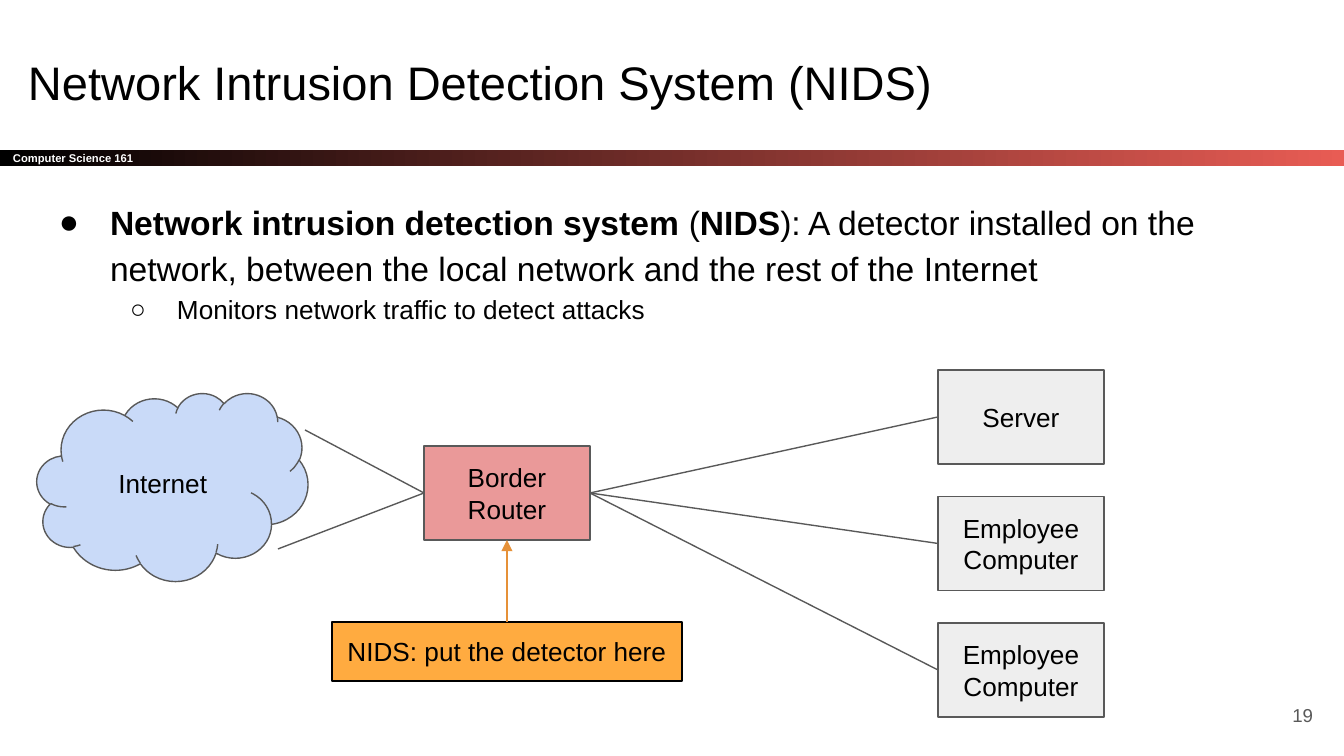
"""Build the Network Intrusion Detection System slide."""
from lxml.etree import SubElement
from pptx import Presentation
from pptx.dml.color import RGBColor
from pptx.enum.shapes import MSO_CONNECTOR, MSO_SHAPE
from pptx.enum.text import MSO_ANCHOR, PP_ALIGN
from pptx.oxml.ns import qn
from pptx.util import Emu, Pt

SCALE = 914400 / 134.4
INSET = 13
FONT = "Arial"
COLORS = {
    "black": "000000", "white": "FFFFFF", "red": "E85C54", "gray": "595959",
    "host": "EEEEEE", "router": "EA9999", "detector": "FFAB40",
    "arrow": "E69138", "cloud": "C9DAF8",
}

TITLE = "Network Intrusion Detection System (NIDS)"
COURSE = "Computer Science 161"
PAGE_NUMBER = "19"
BULLETS = [
    {"char": "●", "level": 0, "left": 67, "hang": 51, "size": 18, "runs": [
        ("Network intrusion detection system", True), (" (", False), ("NIDS", True),
        ("): A detector installed on the network, between the local network "
         "and the rest of the Internet", False)]},
    {"char": "○", "level": 1, "left": 134, "hang": 47, "size": 14, "runs": [
        ("Monitors network traffic to detect attacks", False)]},
]
HOSTS = ["Server", "Employee Computer", "Employee Computer"]
HOST_LEFT, HOST_TOP, HOST_STEP = 938, 370, 126.5
NODE_WIDTH, NODE_HEIGHT = 166, 94
ROUTER_LEFT, ROUTER_TOP = 424, 446
DETECTOR = (332, 622, 350, 59)
CLOUD = (37, 393, 271, 188)
CLOUD_EXITS = [(305, 430), (278, 549)]


def px(value):
    return Emu(round(value * SCALE))


def color(name):
    return RGBColor.from_string(COLORS[name])


def add_run(para, text, size, tint="black", bold=False):
    span = para.add_run()
    span.text = text
    span.font.name = FONT
    span.font.size = Pt(size)
    span.font.bold = bold
    span.font.color.rgb = color(tint)


def set_frame(shape, anchor=MSO_ANCHOR.TOP):
    frame = shape.text_frame
    frame.word_wrap = True
    frame.vertical_anchor = anchor
    frame.margin_left = frame.margin_right = px(INSET)
    frame.margin_top = frame.margin_bottom = px(INSET)
    return frame


def add_text_box(page, place, anchor=MSO_ANCHOR.TOP):
    return set_frame(page.shapes.add_textbox(*map(px, place)), anchor)


def add_node(page, kind, place, label, fill, line="gray", width=0.75, anchor=MSO_ANCHOR.MIDDLE):
    node = page.shapes.add_shape(kind, *map(px, place))
    node.shadow.inherit = False
    node.fill.solid()
    node.fill.fore_color.rgb = color(fill)
    node.line.color.rgb = color(line)
    node.line.width = Pt(width)
    para = set_frame(node, anchor).paragraphs[0]
    para.alignment = PP_ALIGN.CENTER
    add_run(para, label, 14)


def add_line(page, start, end, tint="gray", width=0.75, arrow=False):
    line = page.shapes.add_connector(MSO_CONNECTOR.STRAIGHT, *map(px, start + end))
    line.line.color.rgb = color(tint)
    line.line.width = Pt(width)
    if arrow:
        SubElement(line.line._get_or_add_ln(), qn("a:tailEnd"), type="triangle")
    SubElement(line._element.spPr, qn("a:effectLst"))


def add_bar(page):
    bar = page.shapes.add_shape(MSO_SHAPE.RECTANGLE, *map(px, (0, 150, 1344, 16)))
    bar.shadow.inherit = False
    bar.line.fill.background()
    bar.fill.gradient()
    bar.fill.gradient_angle = 0
    for stop, name in zip(bar.fill.gradient_stops, ("black", "red")):
        stop.color.rgb = color(name)
    para = set_frame(bar, MSO_ANCHOR.MIDDLE).paragraphs[0]
    para.alignment = PP_ALIGN.LEFT
    add_run(para, COURSE, 6, "white", True)


def add_bullets(page):
    frame = add_text_box(page, (30, 183, 1252, 554))
    for index, bullet in enumerate(BULLETS):
        para = frame.add_paragraph() if index else frame.paragraphs[0]
        para.level = bullet["level"]
        properties = para._p.get_or_add_pPr()
        properties.set("marL", str(px(bullet["left"])))
        properties.set("indent", str(-px(bullet["hang"])))
        tint = SubElement(properties, qn("a:buClr"))
        SubElement(tint, qn("a:srgbClr"), val=COLORS["black"])
        SubElement(properties, qn("a:buFont"), typeface=FONT)
        SubElement(properties, qn("a:buChar"), char=bullet["char"])
        para.line_spacing = 1.15
        for text, bold in bullet["runs"]:
            add_run(para, text, bullet["size"], bold=bold)


def add_network(page):
    middle = ROUTER_TOP + NODE_HEIGHT / 2
    router_right = ROUTER_LEFT + NODE_WIDTH
    for index, label in enumerate(HOSTS):
        top = HOST_TOP + index * HOST_STEP
        add_node(page, MSO_SHAPE.RECTANGLE, (HOST_LEFT, top, NODE_WIDTH, NODE_HEIGHT), label, "host")
        add_line(page, (HOST_LEFT, top + NODE_HEIGHT / 2), (router_right, middle))
    add_node(page, MSO_SHAPE.RECTANGLE, (ROUTER_LEFT, ROUTER_TOP, NODE_WIDTH, NODE_HEIGHT),
             "Border Router", "router")
    add_node(page, MSO_SHAPE.RECTANGLE, DETECTOR, "NIDS: put the detector here",
             "detector", "black", 1.5, MSO_ANCHOR.TOP)
    center = ROUTER_LEFT + NODE_WIDTH / 2
    add_line(page, (center, DETECTOR[1]), (center, ROUTER_TOP + NODE_HEIGHT), "arrow", 1.5, True)
    for cloud_exit in CLOUD_EXITS:
        add_line(page, cloud_exit, (ROUTER_LEFT, middle))
    add_node(page, MSO_SHAPE.CLOUD, CLOUD, "Internet", "cloud")


def main():
    deck = Presentation()
    deck.slide_width, deck.slide_height = px(1344), px(756)
    page = deck.slides.add_slide(deck.slide_layouts[6])
    add_bar(page)
    add_bullets(page)
    title = add_text_box(page, (15, 40, 1252, 85))
    add_run(title.paragraphs[0], TITLE, 25.2)
    number = add_text_box(page, (1246, 686, 80, 58), MSO_ANCHOR.MIDDLE).paragraphs[0]
    number.alignment = PP_ALIGN.RIGHT
    add_run(number, PAGE_NUMBER, 10, "gray")
    add_network(page)
    deck.save("out.pptx")


if __name__ == "__main__":
    main()
